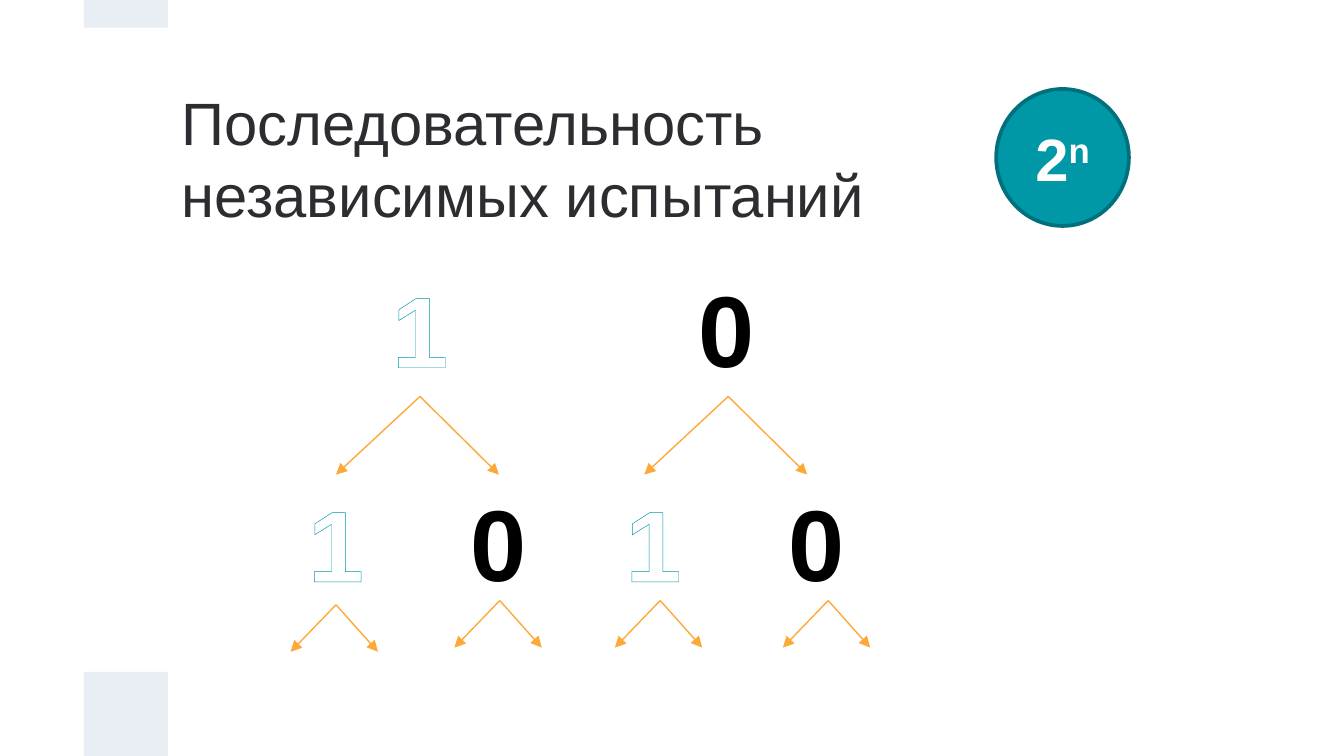
import dataclasses

import lxml.etree
import pptx
import pptx.dml.color
import pptx.enum.shapes
import pptx.enum.text
import pptx.oxml.ns
import pptx.util

COLORS = {
    "title": "2C2D30", "band": "E9EDF4", "teal": "0097A7", "dark_teal": "00707C",
    "arrow": "FEA83A", "white": "FFFFFF", "black": "000000",
}
CELL = 0.625  # the slide is a grid of 16 columns by 9 rows
COLUMNS, ROWS = 16, 9
FIRST_ROW, SECOND_ROW = 3.1, 5.65
DIGIT_HEIGHT = 1.62


@dataclasses.dataclass(frozen=True)
class Outcome:
    """One trial result; all places are in grid columns and rows."""
    digit: str
    column: float
    row: float
    fork_column: float
    fork_row: float


@dataclasses.dataclass(frozen=True)
class Fork:
    left: float
    right: float
    drop: float


@dataclasses.dataclass(frozen=True)
class DigitStyle:
    fill: str
    outline: str
    width: float


WIDE = Fork(1, 0.94, 0.93)
NARROW = Fork(0.54, 0.5, 0.56)
DIGIT_STYLES = {
    "1": DigitStyle("white", "teal", 0.8),
    "0": DigitStyle("black", "white", 0.75),
}
TREE = {
    WIDE: [
        Outcome("1", 4.5, FIRST_ROW, 5, 4.72),
        Outcome("0", 8.15, FIRST_ROW, 8.67, 4.72),
    ],
    NARROW: [
        Outcome("1", 3.5, SECOND_ROW, 4, 7.2),
        Outcome("0", 5.44, SECOND_ROW, 5.95, 7.15),
        Outcome("1", 7.28, SECOND_ROW, 7.86, 7.15),
        Outcome("0", 9.22, SECOND_ROW, 9.86, 7.15),
    ],
}


def grid(*cells: float) -> list[int]:
    """Turn numbers of grid cells into lengths."""
    return [pptx.util.Inches(cell * CELL) for cell in cells]


def rgb(name: str) -> pptx.dml.color.RGBColor:
    return pptx.dml.color.RGBColor.from_string(COLORS[name])


def add_child(parent, tag: str, **attributes: str):
    child = lxml.etree.SubElement(parent, pptx.oxml.ns.qn(tag))
    for name, value in attributes.items():
        child.set(name, value)
    return child


def format_font(font, size: float, color: str, bold: bool = False) -> None:
    settings = {"name": "Arial", "size": pptx.util.Pt(size), "bold": bold}
    for name, value in settings.items():
        setattr(font, name, value)
    font.fill.solid()
    font.fill.fore_color.rgb = rgb(color)


def format_frame(frame, **settings) -> None:
    for name, value in settings.items():
        setattr(frame, name, value)


def add_title(slide, text: str) -> None:
    title = slide.shapes.title
    title.left, title.top, title.width, title.height = grid(2, 1.31, 12, 1.14)
    inset = pptx.util.Inches(0.1)
    format_frame(
        title.text_frame, text=text, word_wrap=True,
        auto_size=pptx.enum.text.MSO_AUTO_SIZE.NONE,
        vertical_anchor=pptx.enum.text.MSO_ANCHOR.MIDDLE,
        margin_left=inset, margin_right=inset, margin_top=inset, margin_bottom=inset,
    )
    paragraph = title.text_frame.paragraphs[0]
    paragraph.alignment = pptx.enum.text.PP_ALIGN.LEFT
    for run in paragraph.runs:
        format_font(run.font, 32, "title")


def add_filled(slide, kind, place: list[int], fill: str):
    shape = slide.shapes.add_shape(kind, *place)
    shape.shadow.inherit = False
    shape.fill.solid()
    shape.fill.fore_color.rgb = rgb(fill)
    shape.line.fill.background()
    return shape


def add_digit(slide, outcome: Outcome) -> None:
    box = slide.shapes.add_textbox(*grid(outcome.column, outcome.row, 1, DIGIT_HEIGHT))
    format_frame(box.text_frame, word_wrap=False,
                 auto_size=pptx.enum.text.MSO_AUTO_SIZE.SHAPE_TO_FIT_TEXT)
    paragraph = box.text_frame.paragraphs[0]
    paragraph.alignment = pptx.enum.text.PP_ALIGN.CENTER
    run = paragraph.add_run()
    run.text = outcome.digit
    style = DIGIT_STYLES[outcome.digit]
    format_font(run.font, 54, style.fill, bold=True)
    properties = run._r.get_or_add_rPr()
    outline = add_child(properties, "a:ln", w=str(pptx.util.Pt(style.width)))
    add_child(add_child(outline, "a:solidFill"), "a:srgbClr", val=COLORS[style.outline])
    properties.insert(0, outline)


def add_fork(slide, outcome: Outcome, fork: Fork) -> None:
    """Draw two arrows from under an outcome to the next trial."""
    for shift in (-fork.left, fork.right):
        arrow = slide.shapes.add_connector(
            pptx.enum.shapes.MSO_CONNECTOR.STRAIGHT,
            *grid(outcome.fork_column, outcome.fork_row,
                  outcome.fork_column + shift, outcome.fork_row + fork.drop))
        arrow.line.color.rgb = rgb("arrow")
        arrow.line.width = pptx.util.Pt(0.75)
        add_child(arrow.line._get_or_add_ln(), "a:tailEnd", type="triangle")
        add_child(arrow._element.spPr, "a:effectLst")


def add_count(slide, base: str, power: str) -> None:
    circle = add_filled(slide, pptx.enum.shapes.MSO_SHAPE.OVAL,
                        grid(11.86, 1.06, 1.58, 1.63), "teal")
    circle.line.color.rgb = rgb("dark_teal")
    circle.line.width = pptx.util.Pt(2)
    circle.text_frame.vertical_anchor = pptx.enum.text.MSO_ANCHOR.MIDDLE
    paragraph = circle.text_frame.paragraphs[0]
    paragraph.alignment = pptx.enum.text.PP_ALIGN.CENTER
    for text, baseline in ((base, 0), (power, 30000)):
        run = paragraph.add_run()
        run.text = text
        format_font(run.font, 32, "white", bold=True)
        run._r.get_or_add_rPr().set("baseline", str(baseline))


def main() -> None:
    deck = pptx.Presentation()
    deck.slide_width, deck.slide_height = grid(COLUMNS, ROWS)
    slide = deck.slides.add_slide(deck.slide_layouts[5])
    add_title(slide, "Последовательность \vнезависимых испытаний")
    for top, height in ((8, 1), (0, 0.33)):
        add_filled(slide, pptx.enum.shapes.MSO_SHAPE.RECTANGLE,
                   grid(1, top, 1, height), "band")
    for fork, outcomes in TREE.items():
        for outcome in outcomes:
            add_digit(slide, outcome)
            add_fork(slide, outcome, fork)
    add_count(slide, "2", "n")
    deck.save("out.pptx")


if __name__ == "__main__":
    main()
